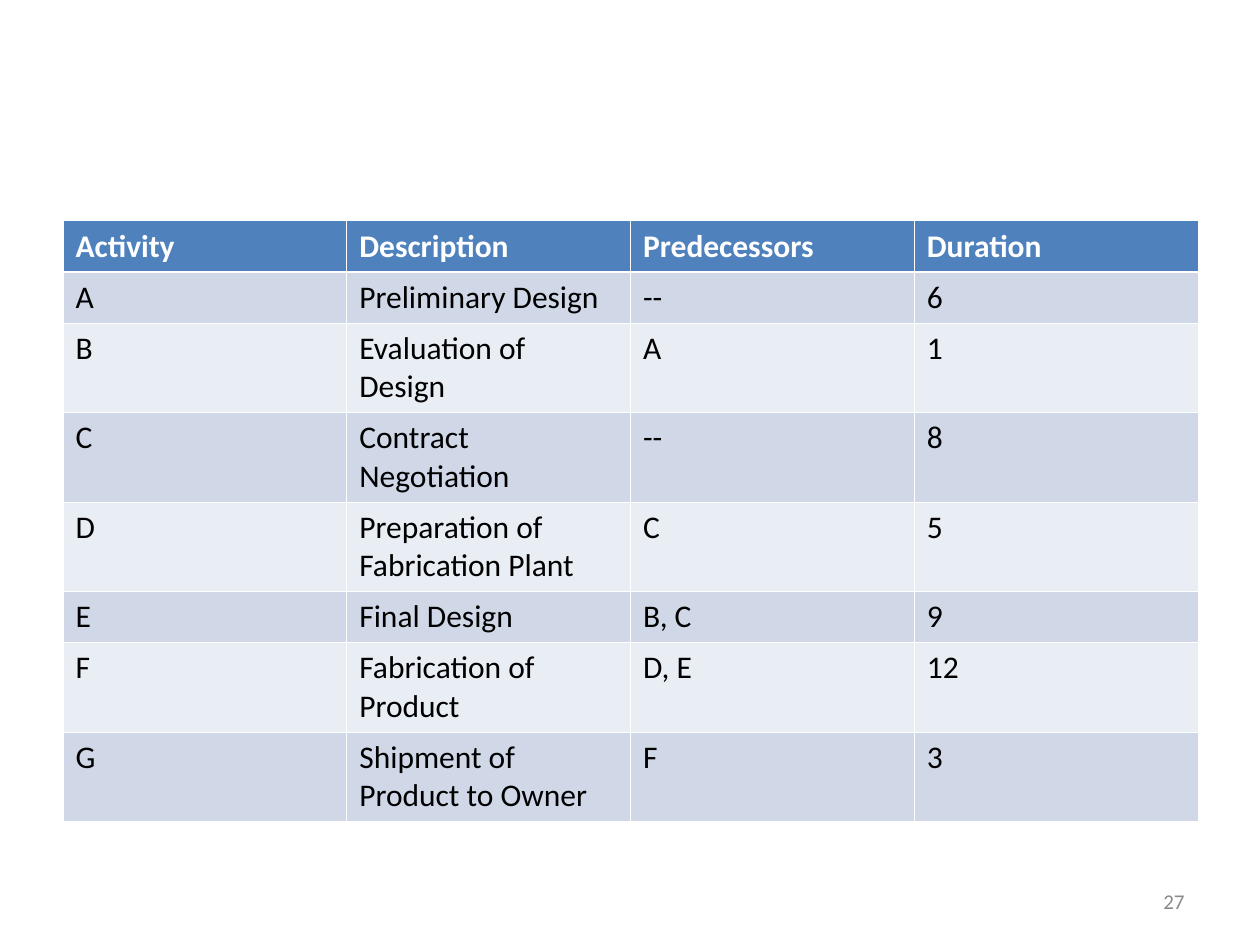
from lxml.etree import SubElement
from pptx import Presentation
from pptx.dml.color import RGBColor
from pptx.enum.text import MSO_ANCHOR as Anchor, PP_ALIGN as Align
from pptx.oxml.ns import qn
from pptx.util import Cm, Pt

COLORS = {
    "header": "4F81BD",
    "band_dark": "D0D8E8",
    "band_light": "E9EDF4",
    "border": "FFFFFF",
    "header_text": "FFFFFF",
    "body_text": "000000",
    "page_number": "898989",
}

# Font formats
HEADER = {"name": "Calibri", "size": Pt(18), "bold": True}
BODY = {"name": "Calibri", "size": Pt(18), "bold": False}
PAGE_NUMBER = {"name": "Calibri", "size": Pt(12)}

THIN, THICK = Pt(0.45), Pt(1.47)
COLUMN_WIDTH = Cm(5.72)
ONE_LINE, TWO_LINES = Cm(1.02), Cm(1.78)

ACTIVITIES = [
    ("Activity", "Description", "Predecessors", "Duration"),
    ("A", "Preliminary Design", "--", "6"),
    ("B", "Evaluation of Design", "A", "1"),
    ("C", "Contract Negotiation", "--", "8"),
    ("D", "Preparation of Fabrication Plant", "C", "5"),
    ("E", "Final Design", "B, C", "9"),
    ("F", "Fabrication of Product", "D, E", "12"),
    ("G", "Shipment of Product to Owner", "F", "3"),
]


def write_text(text_frame, text, font_format, color):
    paragraph = text_frame.paragraphs[0]
    run = paragraph.add_run()
    run.text = text
    for name, value in font_format.items():
        setattr(run.font, name, value)
    run.font.color.rgb = RGBColor.from_string(COLORS[color])
    return paragraph


def set_borders(cell, top, bottom):
    properties = cell._tc.get_or_add_tcPr()
    for side, width in (("L", THIN), ("R", THIN), ("T", top), ("B", bottom)):
        line = SubElement(properties, qn(f"a:ln{side}"), w=str(int(width)))
        fill = SubElement(line, qn("a:solidFill"))
        SubElement(fill, qn("a:srgbClr"), val=COLORS["border"])


def fill_cell(cell, text, row_index):
    is_header = row_index == 0
    # A thick rule parts the header from the body
    set_borders(cell, THICK if row_index == 1 else THIN, THICK if is_header else THIN)
    band = "band_dark" if row_index % 2 else "band_light"
    cell.fill.solid()
    cell.fill.fore_color.rgb = RGBColor.from_string(COLORS["header" if is_header else band])
    if is_header:
        write_text(cell.text_frame, text, HEADER, "header_text")
    else:
        write_text(cell.text_frame, text, BODY, "body_text")


def add_activity_table(slide):
    row_count, column_count = len(ACTIVITIES), len(ACTIVITIES[0])
    shape = slide.shapes.add_table(
        row_count, column_count, Cm(1.27), Cm(4.45),
        COLUMN_WIDTH * column_count, ONE_LINE * row_count)
    table = shape.table
    for column in table.columns:
        column.width = COLUMN_WIDTH
    for row_index, values in enumerate(ACTIVITIES):
        # Descriptions longer than 18 characters wrap onto a second line
        row = table.rows[row_index]
        row.height = TWO_LINES if len(values[1]) > 18 else ONE_LINE
        for cell, text in zip(row.cells, values):
            fill_cell(cell, text, row_index)


def add_page_number(slide, number):
    shape = slide.shapes.add_textbox(Cm(18.2), Cm(17.65), Cm(5.93), Cm(1.02))
    text_frame = shape.text_frame
    text_frame.word_wrap = True
    text_frame.vertical_anchor = Anchor.MIDDLE
    paragraph = write_text(text_frame, number, PAGE_NUMBER, "page_number")
    paragraph.alignment = Align.RIGHT


def main():
    presentation = Presentation()
    presentation.slide_width = Cm(25.4)
    presentation.slide_height = Cm(19.05)
    slide = presentation.slides.add_slide(presentation.slide_layouts[6])
    add_activity_table(slide)
    add_page_number(slide, "27")
    presentation.save("out.pptx")


if __name__ == "__main__":
    main()
